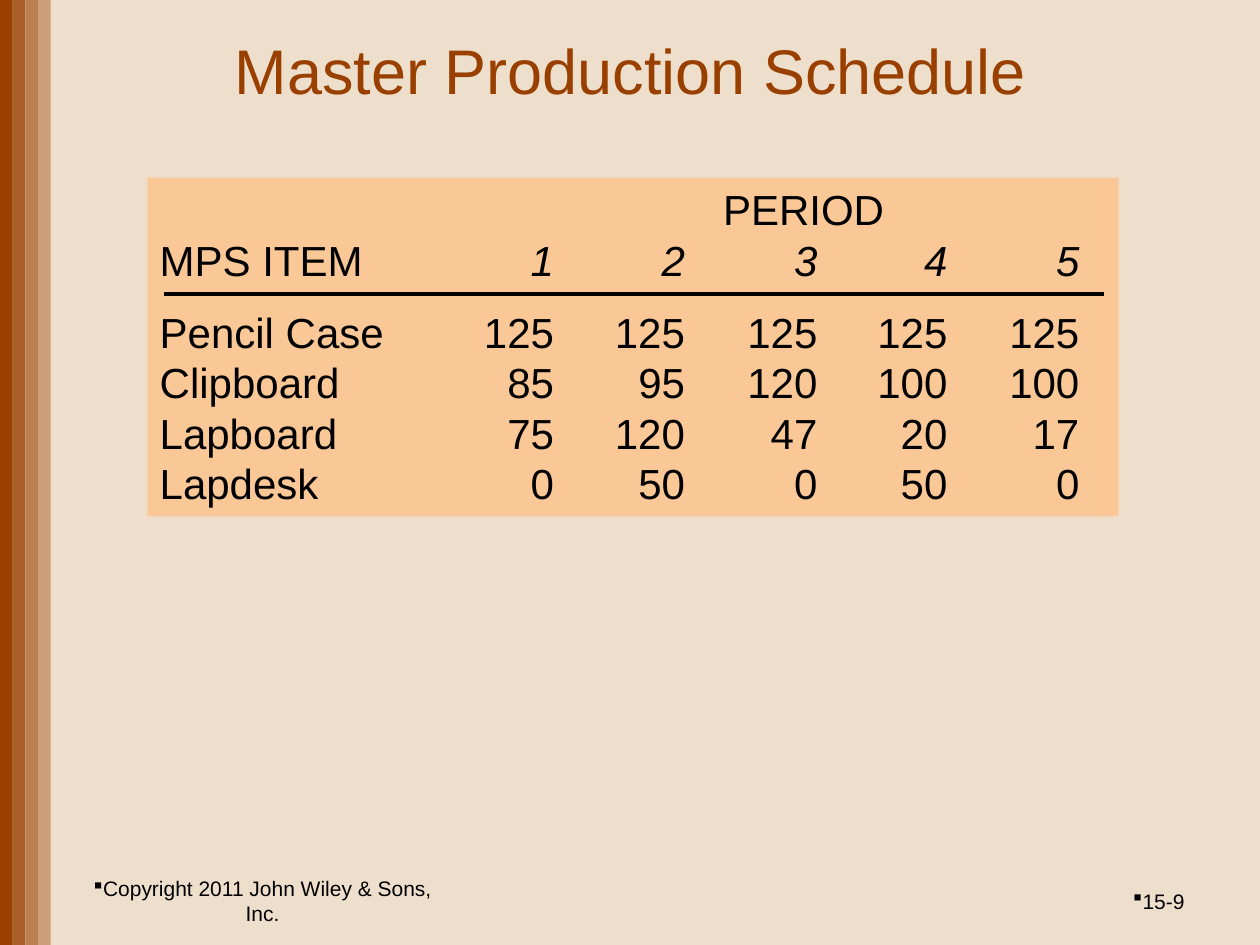
from pptx import Presentation
from pptx.dml.color import RGBColor
from pptx.enum.shapes import MSO_CONNECTOR, MSO_SHAPE
from pptx.enum.text import MSO_ANCHOR, PP_ALIGN
from pptx.oxml.ns import qn
from pptx.util import Cm, Pt
from lxml.etree import SubElement

BLACK, BROWN, PEACH, CREAM = "000000", "994000", "FAC896", "EEDFCC"
COLUMNS = [7.95, 10.59, 13.26, 15.88, 18.54]
PERIOD_CENTRE = 12.98
ITEMS = [
    ("Pencil Case", [125, 125, 125, 125, 125]),
    ("Clipboard", [85, 95, 120, 100, 100]),
    ("Lapboard", [75, 120, 47, 20, 17]),
    ("Lapdesk", [0, 50, 0, 50, 0]),
]


def rgb(value):
    return RGBColor.from_string(value)


def add_run(p, text, size, color=BLACK, italic=False):
    r = p.add_run()
    r.text = text
    r.font.name = "Arial"
    r.font.size = Pt(size)
    r.font.italic = italic
    r.font.color.rgb = rgb(color)


def add_rect(s, x, y, w, h, color):
    sp = s.shapes.add_shape(MSO_SHAPE.RECTANGLE, Cm(x), Cm(y), Cm(w), Cm(h))
    sp.shadow.inherit = False
    sp.fill.solid()
    sp.fill.fore_color.rgb = rgb(color)
    sp.line.fill.background()
    return sp


def add_text(s, x, y, w, h, text, size, align, color=BLACK):
    tf = s.shapes.add_textbox(Cm(x), Cm(y), Cm(w), Cm(h)).text_frame
    tf.word_wrap = True
    tf.vertical_anchor = MSO_ANCHOR.MIDDLE
    p = tf.paragraphs[0]
    p.alignment = align
    add_run(p, text, size, color)
    return p


def add_stripes(s, x, y, w, h):
    step = w / 4
    for i in range(4):
        sp = add_rect(s, x + i * step, y, step, h, BROWN)
        color = sp.fill._xPr.find(qn("a:solidFill"))[0]
        SubElement(color, qn("a:alpha"), val=str(100000 - 20000 * i))


def add_title(s, x, y, w, h):
    p = add_text(s, x, y, w, h, "Master Production Schedule", 36, PP_ALIGN.CENTER, BROWN)
    p.line_spacing = 0.9


def add_footer(s, x, y, w, h, text, align):
    p = add_text(s, x, y, w, h, text, 12, align)
    pPr = p._p.get_or_add_pPr()
    pPr.set("marL", "0")
    pPr.set("indent", "0")
    SubElement(pPr, qn("a:buFont"), typeface="Wingdings")
    SubElement(pPr, qn("a:buChar"), char="§")


def set_tabs(p, stops, align):
    tabs = SubElement(p._p.get_or_add_pPr(), qn("a:tabLst"))
    for stop in stops:
        SubElement(tabs, qn("a:tab"), pos=str(Cm(stop)), algn=align)


def add_row(p, label, values, italic=False):
    set_tabs(p, COLUMNS, "r")
    add_run(p, label + "\t", 24)
    add_run(p, "\t".join(str(v) for v in values), 24, italic=italic)


def add_schedule(s, x, y, w, h):
    tf = add_rect(s, x, y, w, h, PEACH).text_frame
    tf.word_wrap = True
    tf.vertical_anchor = MSO_ANCHOR.TOP
    p = tf.paragraphs[0]
    set_tabs(p, [PERIOD_CENTRE], "ctr")
    add_run(p, "\tPERIOD", 24)
    add_row(tf.add_paragraph(), "MPS ITEM", range(1, 6), italic=True)
    for label, values in ITEMS:
        add_row(tf.add_paragraph(), label, values)
    for p in tf.paragraphs:
        p.alignment = PP_ALIGN.LEFT
        p.line_spacing = Pt(28.8)
    tf.paragraphs[2].space_before = Pt(12.4)

    rule_y = Cm(y + 2.34)
    rule = s.shapes.add_connector(
        MSO_CONNECTOR.STRAIGHT, Cm(x + 0.33), rule_y, Cm(x + w - 0.3), rule_y)
    rule.line.color.rgb = rgb(BLACK)
    rule.line.width = Pt(2.25)
    SubElement(rule._element.spPr, qn("a:effectLst"))


def main():
    prs = Presentation()
    prs.slide_width, prs.slide_height = Cm(25.4), Cm(19.05)
    s = prs.slides.add_slide(prs.slide_layouts[6])
    s.background.fill.solid()
    s.background.fill.fore_color.rgb = rgb(CREAM)
    add_stripes(s, 0, 0, 1.02, 19.05)
    add_footer(s, 1.27, 17.65, 8.05, 1.02,
               "Copyright 2011 John Wiley & Sons, Inc.", PP_ALIGN.CENTER)
    add_footer(s, 18.21, 17.65, 5.92, 1.02, "15-9", PP_ALIGN.RIGHT)
    add_title(s, 2.97, 0.23, 19.48, 2.54)
    add_schedule(s, 2.97, 3.58, 19.58, 6.83)
    prs.save("out.pptx")


if __name__ == "__main__":
    main()
